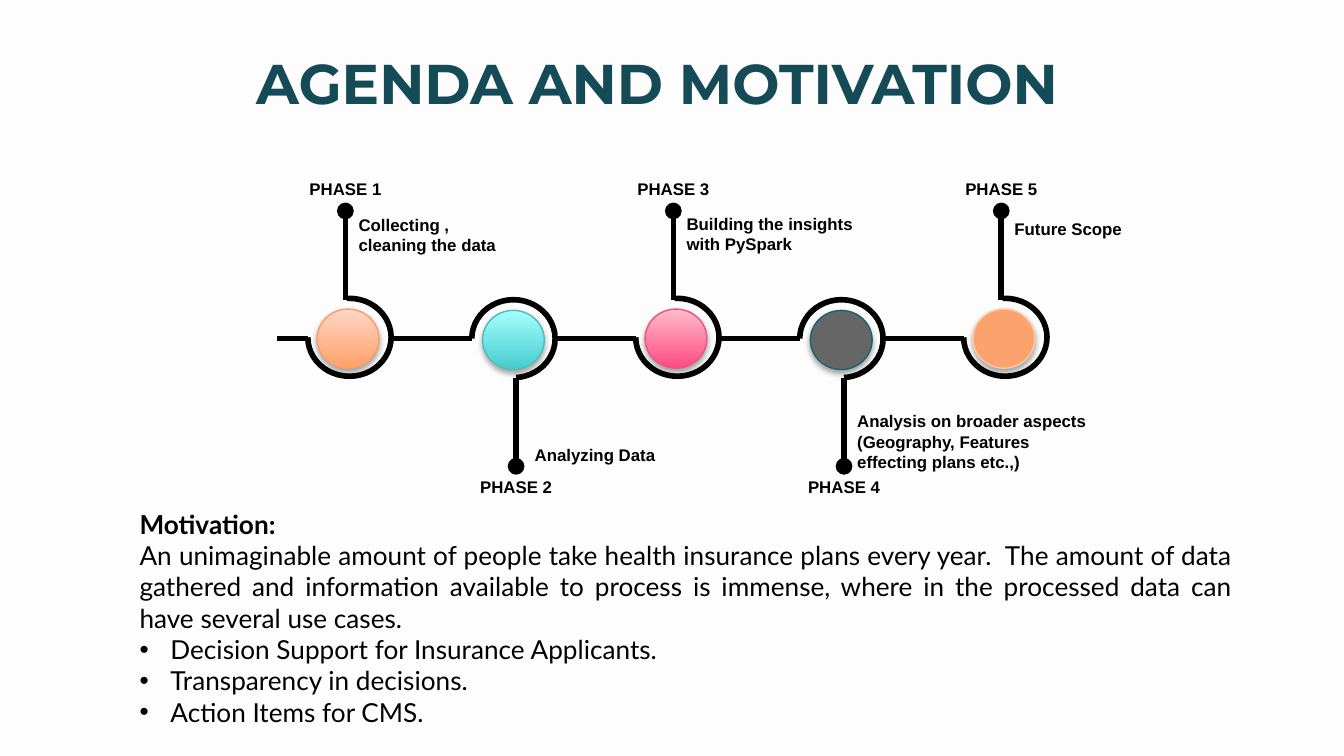
from lxml.etree import SubElement
from pptx import Presentation
from pptx.dml.color import RGBColor
from pptx.enum.shapes import MSO_CONNECTOR as Connector, MSO_SHAPE as Shape
from pptx.enum.text import MSO_AUTO_SIZE as AutoSize, PP_ALIGN as Align
from pptx.oxml.ns import qn
from pptx.util import Inches, Pt

# Content
TITLE = "AGENDA AND MOTIVATION"
# name, detail, detail (left offset from stem, top, width, height), disc colours (bottom to top), disc outline
PHASES = [
    ("PHASE 1", "Collecting , cleaning the data", (0, 1.55, 1.36, 0.4),
     ["FFA169", "FFD6C6"], "F99E67"),
    ("PHASE 2", "Analyzing Data", (0.04, 3.26, 1.55, 0.25),
     ["45CBCD", "A5FEFF"], "51BABB"),
    ("PHASE 3", "Building the insights with PySpark", (0, 1.54, 1.69, 0.4),
     ["FF4A82", "FFBCCB"], "EE5384"),
    ("PHASE 4", "Analysis on broader aspects (Geography, Features effecting plans etc.,)",
     (0, 3.01, 1.94, 0.56), ["666666"], "196174"),
    ("PHASE 5", "Future Scope", (0, 1.58, 1.3, 0.25),
     ["FBA26D"], "FDC7A7"),
]
MOTIVATION_HEAD = "Motivation:"
MOTIVATION = ("An unimaginable amount of people take health insurance plans every year.  "
              "The amount of data gathered and information available to process is immense, "
              "where in the processed data can have several use cases.")
USE_CASES = ["Decision Support for Insurance Applicants.", "Transparency in decisions.",
             "Action Items for CMS."]

THEME = {
    "page": "FDFDFD", "title": "154A57", "ink": "000000",
    "title_font": "Montserrat", "body_font": "Lato", "label_font": "Arial",
    "title_size": 30, "body_size": 14, "label_size": 9,
    "track": 3, "outline": 0.75,
}

# Timeline geometry in inches
FIRST_LEFT, PITCH, START = 2.29, 1.22, 2.06
ARC_WIDTH, ARC_HEIGHT, AXIS = 0.62, 0.58, 2.52
DISC_WIDTH, DISC_HEIGHT = 0.46, 0.44
LABEL_WIDTH, LABEL_HEIGHT = 0.74, 0.25
# stem and disc offsets are from the left of the arc
UP = {"arc_top": 2.22, "stem": 0.28, "disc": 0.07, "stem_ends": (2.23, 1.57),
      "label_top": 1.28, "turn": 0, "angles": (159.57, 107.96)}
DOWN = {"arc_top": 2.23, "stem": 0.33, "disc": 0.08, "stem_ends": (2.81, 3.47),
        "label_top": 3.5, "turn": 180, "angles": (0.11, 159.7)}


def color(name):
    return RGBColor.from_string(THEME.get(name, name))


def style(para, kind, ink="ink", bold=True):
    para.font.name = THEME[kind + "_font"]
    para.font.size = Pt(THEME[kind + "_size"])
    para.font.bold = bold
    para.font.color.rgb = color(ink)


def add_box(page, left, top, width, height, wrap=True):
    box = page.shapes.add_textbox(Inches(left), Inches(top), Inches(width), Inches(height))
    box.text_frame.word_wrap = wrap
    box.text_frame.auto_size = AutoSize.SHAPE_TO_FIT_TEXT
    return box.text_frame


def add_label(page, text, area, align=Align.LEFT, wrap=True):
    para = add_box(page, *area, wrap=wrap).paragraphs[0]
    para.text, para.alignment = text, align
    style(para, "label")


def add_bullet(para):
    props = para._p.get_or_add_pPr()
    props.set("marL", str(Inches(0.23)))
    props.set("indent", str(-Inches(0.23)))
    SubElement(SubElement(props, qn("a:buClr")), qn("a:srgbClr"), val=THEME["ink"])
    SubElement(props, qn("a:buFont"), typeface="Arial")
    SubElement(props, qn("a:buChar"), char="•")


def add_line(page, x1, y1, x2, y2, dot=False):
    line = page.shapes.add_connector(Connector.STRAIGHT, *map(Inches, (x1, y1, x2, y2)))
    line.line.color.rgb = color("ink")
    line.line.width = Pt(THEME["track"])
    if dot:
        SubElement(line.line._get_or_add_ln(), qn("a:tailEnd"), type="oval")
    SubElement(line._element.spPr, qn("a:effectLst"))


def add_arc(page, left, side):
    arc = page.shapes.add_shape(Shape.ARC, Inches(left), Inches(side["arc_top"]),
                                Inches(ARC_WIDTH), Inches(ARC_HEIGHT))
    arc.adjustments[0], arc.adjustments[1] = side["angles"]
    arc.rotation = side["turn"]
    arc.fill.background()
    arc.line.color.rgb = color("ink")
    arc.line.width = Pt(THEME["track"])
    arc.shadow.inherit = False


def add_disc(page, left, top, fills, outline):
    disc = page.shapes.add_shape(Shape.OVAL, Inches(left), Inches(top),
                                 Inches(DISC_WIDTH), Inches(DISC_HEIGHT))
    if len(fills) == 1:
        disc.fill.solid()
        disc.fill.fore_color.rgb = color(fills[0])
    else:
        disc.fill.gradient()
        disc.fill.gradient_angle = 90
        for stop, fill in zip(disc.fill.gradient_stops, fills):
            stop.color.rgb = color(fill)
    disc.line.color.rgb = color(outline)
    disc.line.width = Pt(THEME["outline"])
    # Soft shadow straight below
    disc.shadow.inherit = False
    effects = disc._element.spPr.find(qn("a:effectLst"))
    shadow = SubElement(effects, qn("a:outerShdw"), blurRad=str(Pt(3.1)), dist=str(Pt(1.8)),
                        dir="5400000", rotWithShape="0")
    tone = SubElement(shadow, qn("a:srgbClr"), val=THEME["ink"])
    SubElement(tone, qn("a:alpha"), val="35000")


def add_phase(page, index, name, detail, detail_area, fills, outline):
    side = DOWN if index % 2 else UP
    left = FIRST_LEFT + index * PITCH
    stem = left + side["stem"]
    previous = left - PITCH + ARC_WIDTH if index else START
    add_arc(page, left, side)
    add_line(page, previous, AXIS, left, AXIS)
    add_line(page, stem, side["stem_ends"][0], stem, side["stem_ends"][1], dot=True)
    add_disc(page, left + side["disc"], side["arc_top"] + 0.08, fills, outline)
    add_label(page, name, (stem - LABEL_WIDTH / 2, side["label_top"], LABEL_WIDTH, LABEL_HEIGHT),
              Align.CENTER, wrap=False)
    offset, *rest = detail_area
    add_label(page, detail, (stem + offset, *rest))


def main():
    deck = Presentation()
    # Widescreen, 16 to 9
    deck.slide_width = Inches(10)
    deck.slide_height = Inches(10) * 9 // 16
    page = deck.slides.add_slide(deck.slide_layouts[6])
    page.background.fill.solid()
    page.background.fill.fore_color.rgb = color("page")

    # Title
    frame = add_box(page, 1.2, 0.34, 7.38, 0.68)
    frame.auto_size = AutoSize.NONE
    frame.margin_top = frame.margin_bottom = Inches(0.1)
    para = frame.paragraphs[0]
    para.text, para.alignment, para.line_spacing = TITLE, Align.CENTER, 0.85
    style(para, "title", "title")

    # Motivation
    frame = add_box(page, 0.94, 3.73, 8.33, 1.75)
    for index, text in enumerate([MOTIVATION_HEAD, MOTIVATION, *USE_CASES]):
        para = frame.add_paragraph() if index else frame.paragraphs[0]
        para.text, para.alignment = text, Align.JUSTIFY
        if text in USE_CASES:
            add_bullet(para)
        style(para, "body", bold=index == 0)

    # Timeline
    for index, phase in enumerate(PHASES):
        add_phase(page, index, *phase)

    deck.save("out.pptx")


if __name__ == "__main__":
    main()
